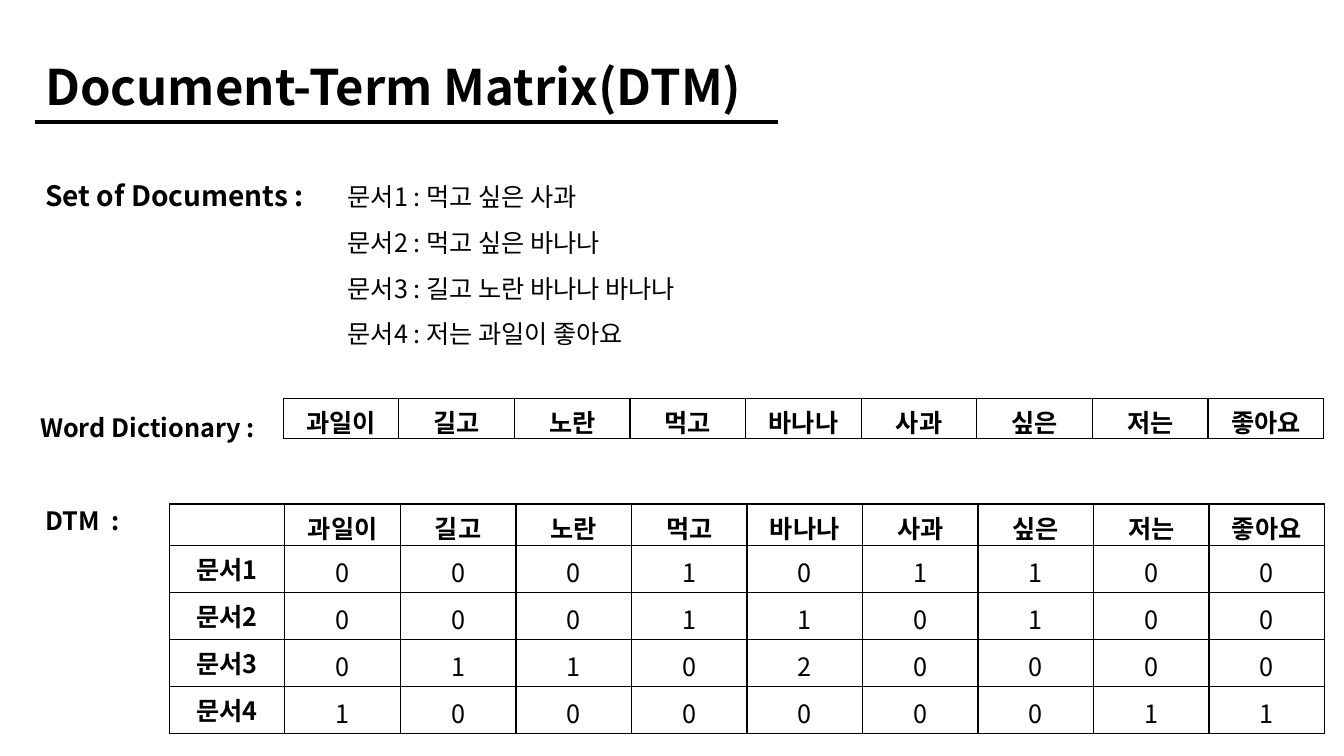
import pptx
import pptx.dml.color
import pptx.enum.shapes
import pptx.enum.text
import pptx.oxml.ns
import pptx.util
from lxml import etree
from pptx.util import Inches

BLACK = pptx.dml.color.RGBColor(0x00, 0x00, 0x00)
RULE_BLACK = pptx.dml.color.RGBColor(0x01, 0x00, 0x01)
FONT = "Noto Sans CJK KR"
MIDDLE = pptx.enum.text.MSO_ANCHOR.MIDDLE

WORDS = ["과일이", "길고", "노란", "먹고", "바나나", "사과", "싶은", "저는", "좋아요"]
DOCUMENTS = {
    "문서1": "먹고 싶은 사과",
    "문서2": "먹고 싶은 바나나",
    "문서3": "길고 노란 바나나 바나나",
    "문서4": "저는 과일이 좋아요",
}
VALUE_CELL = {
    "vertical_anchor": MIDDLE,
    "margin_left": Inches(0.12),
    "margin_right": Inches(0.12),
    "margin_top": Inches(0.08),
    "margin_bottom": Inches(0.08),
}


def set_attributes(target, values):
    for name, value in values.items():
        setattr(target, name, value)


def add_run(paragraph, text, size=18, bold=True):
    run = paragraph.add_run()
    run.text = text
    set_attributes(run.font, {"name": FONT, "size": pptx.util.Pt(size), "bold": bold})
    run.font.color.rgb = BLACK
    # Korean letters take the East Asian typeface
    east_asian = etree.SubElement(run.font._element, pptx.oxml.ns.qn("a:ea"))
    east_asian.set("typeface", FONT)


def add_text(slide, left, top, width, height):
    frame = slide.shapes.add_textbox(
        Inches(left), Inches(top), Inches(width), Inches(height)).text_frame
    set_attributes(frame, {
        "word_wrap": False,
        "auto_size": pptx.enum.text.MSO_AUTO_SIZE.SHAPE_TO_FIT_TEXT,
    })
    return frame


def add_label(slide, text, left, top, width, height, size=18, spacing=1.5):
    paragraph = add_text(slide, left, top, width, height).paragraphs[0]
    paragraph.line_spacing = spacing
    add_run(paragraph, text, size)


def add_title_rule(slide):
    rule = slide.shapes.add_connector(
        pptx.enum.shapes.MSO_CONNECTOR.STRAIGHT,
        Inches(0.35), Inches(1.21), Inches(7.72), Inches(1.21))
    rule.line.width = pptx.util.Pt(3)
    rule.line.color.rgb = RULE_BLACK
    etree.SubElement(rule._element.spPr, pptx.oxml.ns.qn("a:effectLst"))


def add_documents(slide):
    frame = add_text(slide, 0.35, 1.56, 6.9, 1.91)
    indent = Inches(3)
    for index, (name, sentence) in enumerate(DOCUMENTS.items()):
        paragraph = frame.add_paragraph() if index else frame.paragraphs[0]
        paragraph.line_spacing = 1.5
        properties = paragraph._p.get_or_add_pPr()
        properties.set("marL", str(indent))
        properties.set("indent", "0" if index else str(-indent))
        if index == 0:
            add_run(paragraph, "Set of Documents : \t", 20)
        add_run(paragraph, f"{name} : {sentence}", bold=False)


def add_borders(cell):
    properties = cell._tc.get_or_add_tcPr()
    for side in ("lnL", "lnR", "lnT", "lnB"):
        line = etree.SubElement(properties, pptx.oxml.ns.qn(f"a:{side}"))
        line.set("w", str(pptx.util.Pt(1)))
        fill = etree.SubElement(line, pptx.oxml.ns.qn("a:solidFill"))
        etree.SubElement(fill, pptx.oxml.ns.qn("a:srgbClr")).set("val", str(BLACK))


def add_grid(slide, rows, left, top, width, row_heights):
    table = slide.shapes.add_table(
        len(rows), len(rows[0]), Inches(left), Inches(top),
        Inches(width), Inches(sum(row_heights))).table
    set_attributes(table, {"first_row": False, "horz_banding": False})
    for row, height in zip(table.rows, row_heights):
        row.height = Inches(height)
    for row_index, row in enumerate(rows):
        for column_index, entry in enumerate(row):
            cell = table.cell(row_index, column_index)
            add_borders(cell)
            cell.fill.background()
            is_count = isinstance(entry, int)
            if is_count:
                set_attributes(cell, VALUE_CELL)
            if entry != "":
                paragraph = cell.text_frame.paragraphs[0]
                paragraph.alignment = pptx.enum.text.PP_ALIGN.CENTER
                add_run(paragraph, str(entry), bold=not is_count)


def main():
    presentation = pptx.Presentation()
    set_attributes(presentation, {
        "slide_width": Inches(13.33), "slide_height": Inches(7.5)})
    slide = presentation.slides.add_slide(presentation.slide_layouts[6])

    # Title
    add_label(slide, "Document-Term Matrix(DTM)", 0.35, 0.51, 7.11, 0.69, 35, 1.0)
    add_title_rule(slide)

    # Documents
    add_documents(slide)

    # Document-term matrix: how often each word occurs in each document
    counts = [[name] + [sentence.split().count(word) for word in WORDS]
              for name, sentence in DOCUMENTS.items()]
    add_grid(slide, [[""] + WORDS] + counts, 1.68, 5, 11.46,
             [0.41] + [0.466] * len(counts))

    # Word dictionary
    add_grid(slide, [WORDS], 2.81, 3.95, 10.32, [0.4])

    # Labels
    add_label(slide, "Word Dictionary :", 0.3, 3.89, 2.44, 0.5)
    add_label(slide, "DTM  :", 0.35, 4.81, 1.11, 0.5)

    presentation.save("out.pptx")


if __name__ == "__main__":
    main()
